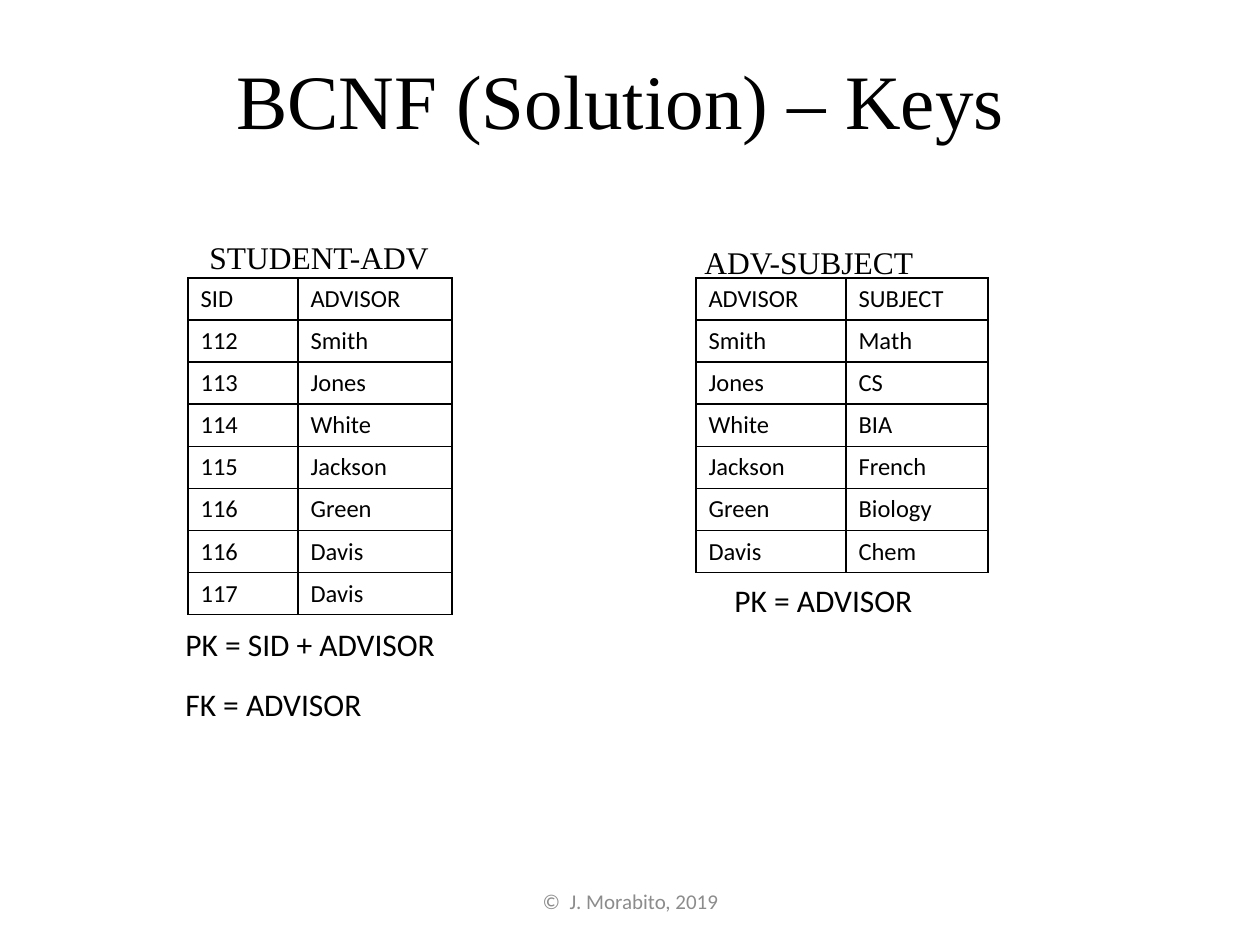
from lxml import etree
from pptx import Presentation, util as u
from pptx.dml.color import RGBColor
from pptx.enum import text as t
from pptx.oxml.ns import qn

PX = u.Inches(1) / 126
BLACK, GREY = "000000", "8C8C8C"
SERIF, SANS = "Times New Roman", "Calibri"


def px(length):
    return u.Emu(round(length * PX))


def write(frame, words, size, face, color, align=t.PP_ALIGN.LEFT):
    para = frame.paragraphs[0]
    para.alignment = align
    span = para.add_run()
    span.text = words
    for name, value in {"size": u.Pt(size), "name": face}.items():
        setattr(span.font, name, value)
    span.font.color.rgb = RGBColor.from_string(color)


deck = Presentation()
deck.slide_width, deck.slide_height = px(1260), px(945)
page = deck.slides.add_slide(deck.slide_layouts[6])

# Title, table names, key notes and footer
CENTER, LEFT = t.PP_ALIGN.CENTER, t.PP_ALIGN.LEFT
TOP, MIDDLE = t.MSO_ANCHOR.TOP, t.MSO_ANCHOR.MIDDLE
# words, (left, top, width, height), size, face, color, align, anchor, wrap, top margin
texts = [
    ("©\u00a0 J. Morabito, 2019", (431, 876, 399, 50), 12, SANS, GREY, CENTER, MIDDLE, True, 6),
    ("BCNF (Solution) – Keys ", (63, 38, 1134, 158), 44, SERIF, BLACK, CENTER, TOP, True, 15),
    ("STUDENT-ADV", (197, 228, 247, 50), 18, SERIF, BLACK, LEFT, TOP, False, 10),
    ("ADV-SUBJECT", (692, 233, 236, 50), 18, SERIF, BLACK, LEFT, TOP, False, 10),
    ("PK = SID + ADVISOR", (173, 619, 278, 50), 18, SANS, BLACK, LEFT, TOP, False, 6),
    ("FK = ADVISOR", (173, 679, 204, 50), 18, SANS, BLACK, LEFT, TOP, False, 6),
    ("PK = ADVISOR", (722, 575, 205, 50), 18, SANS, BLACK, LEFT, TOP, False, 6),
]
for words, place, size, face, color, align, anchor, wrap, margin in texts:
    box = page.shapes.add_textbox(*map(px, place))
    settings = {"word_wrap": wrap, "vertical_anchor": anchor, "margin_top": px(margin)}
    for name, value in settings.items():
        setattr(box.text_frame, name, value)
    write(box.text_frame, words, size, face, color, align)

# Relations with plain black grids
ROW_HEIGHT = 42
student_adv = [
    ("SID", "ADVISOR"), ("112", "Smith"), ("113", "Jones"), ("114", "White"),
    ("115", "Jackson"), ("116", "Green"), ("116", "Davis"), ("117", "Davis"),
]
adv_subject = [
    ("ADVISOR", "SUBJECT"), ("Smith", "Math"), ("Jones", "CS"), ("White", "BIA"),
    ("Jackson", "French"), ("Green", "Biology"), ("Davis", "Chem"),
]
for left, widths, rows in [(188, (110, 154), student_adv), (696, (150, 142), adv_subject)]:
    grid = page.shapes.add_table(
        len(rows), len(widths), px(left), px(278), px(sum(widths)), px(ROW_HEIGHT * len(rows))
    ).table
    grid.first_row = grid.horz_banding = False
    for column, width in zip(grid.columns, widths):
        column.width = px(width)
    for r, row in enumerate(rows):
        grid.rows[r].height = px(ROW_HEIGHT)
        for c, words in enumerate(row):
            cell = grid.cell(r, c)
            write(cell.text_frame, words, 14, SANS, BLACK)
            cell.fill.background()
            # Borders come before the fill in the cell properties
            props = cell._tc.get_or_add_tcPr()
            for i, side in enumerate(("a:lnL", "a:lnR", "a:lnT", "a:lnB")):
                line = etree.Element(qn(side), w=str(u.Pt(1)))
                fill = etree.SubElement(line, qn("a:solidFill"))
                etree.SubElement(fill, qn("a:srgbClr"), val=BLACK)
                props.insert(i, line)

deck.save("out.pptx")
